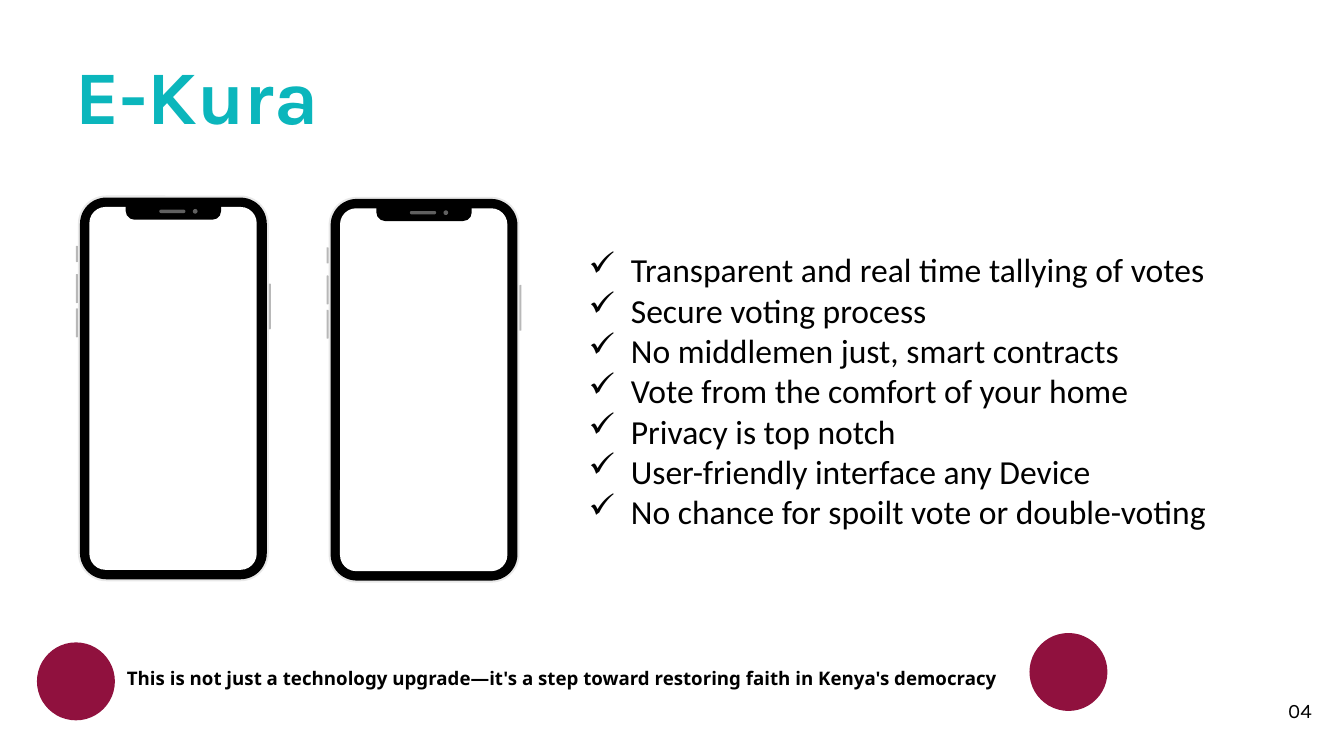
import lxml.etree
import pptx
import pptx.dml.color
import pptx.enum.shapes
import pptx.enum.text
import pptx.oxml.ns
import pptx.util

Inches = pptx.util.Inches
RGB = pptx.dml.color.RGBColor.from_string
SHAPE = pptx.enum.shapes.MSO_SHAPE
ALIGN = pptx.enum.text.PP_ALIGN
qn = pptx.oxml.ns.qn

THEME = {
    "teal": RGB("0BB6BC"), "maroon": RGB("90113E"), "ink": RGB("000000"),
    "paper": RGB("FFFFFF"), "rim": RGB("E9E9E9"), "button": RGB("B8B8B8"),
    "sensor": RGB("606060"),
    "title": {"name": "Karla", "size": pptx.util.Pt(81), "bold": True},
    "number": {"name": "Karla", "size": pptx.util.Pt(22)},
    "tagline": {"name": "Noto Sans", "size": pptx.util.Pt(20), "bold": True},
    "list": {"name": "Calibri", "size": pptx.util.Pt(36)},
}


def add_filled(shapes, kind, box, color, radii=()):
    sp = shapes.add_shape(kind, *[Inches(v) for v in box])
    sp.shadow.inherit = False
    sp.fill.solid()
    sp.fill.fore_color.rgb = THEME[color]
    sp.line.fill.background()
    for i, radius in enumerate(radii):
        sp.adjustments[i] = radius / min(box[2:])
    return sp


def write(sp, lines, style, color, inset=(0.1, 0.05), **paragraph_format):
    tf = sp.text_frame
    dx, dy = [Inches(v) for v in inset]
    frame_format = {
        "word_wrap": True, "auto_size": pptx.enum.text.MSO_AUTO_SIZE.NONE,
        "vertical_anchor": pptx.enum.text.MSO_ANCHOR.TOP,
        "margin_left": dx, "margin_right": dx,
        "margin_top": dy, "margin_bottom": dy,
    }
    for key, value in frame_format.items():
        setattr(tf, key, value)
    for i, line in enumerate(lines):
        p = tf.paragraphs[0] if i == 0 else tf.add_paragraph()
        for key, value in paragraph_format.items():
            setattr(p, key, value)
        r = p.add_run()
        r.text = line
        for key, value in THEME[style].items():
            setattr(r.font, key, value)
        r.font.color.rgb = THEME[color]
    return tf


prs = pptx.Presentation()
prs.slide_width, prs.slide_height = Inches(20), Inches(11.25)
s = prs.slides.add_slide(prs.slide_layouts[5])

title = s.shapes.title
title.left, title.top, title.width, title.height = [
    Inches(v) for v in (1.12, 0.73, 9.47, 1.36)]
write(title, ["E-Kura"], "title", "teal", inset=(0, 0),
      alignment=ALIGN.LEFT, line_spacing=pptx.util.Pt(97.2))

ROUND = SHAPE.ROUNDED_RECTANGLE
phone_parts = [
    (ROUND, (0.03, 0, 2.84, 5.74), "rim", [0.42]),
    (ROUND, (0.06, 0.03, 2.78, 5.68), "ink", [0.39]),
    (ROUND, (0.2, 0.17, 2.49, 5.4), "paper", [0.24]),
    (SHAPE.ROUND_2_SAME_RECTANGLE, (0.74, 0.1, 1.42, 0.26), "ink", [0, 0.13]),
    (ROUND, (1.24, 0.21, 0.39, 0.05), "sensor", [0.03]),
    (SHAPE.OVAL, (1.74, 0.2, 0.07, 0.07), "sensor", []),
    (ROUND, (0, 0.75, 0.03, 0.24), "button", [0.01]),
    (ROUND, (0, 1.17, 0.03, 0.43), "button", [0.01]),
    (ROUND, (0, 1.68, 0.03, 0.43), "button", [0.01]),
    (ROUND, (2.87, 1.31, 0.03, 0.68), "button", [0.01]),
]
for left, top in [(1.13, 2.91), (4.86, 2.93)]:
    phone = s.shapes.add_group_shape()
    for kind, (x, y, w, h), color, radii in phone_parts:
        add_filled(phone.shapes, kind, (left + x, top + y, w, h), color, radii)

number = s.shapes.add_textbox(*[Inches(v) for v in (18.65, 10.37, 0.87, 0.38)])
write(number, ["04"], "number", "ink", inset=(0, 0),
      alignment=ALIGN.RIGHT, line_spacing=pptx.util.Pt(27.5))

tagline = s.shapes.add_textbox(*[Inches(v) for v in (1.79, 9.88, 13.52, 0.74)])
write(tagline, ["This is not just a technology upgrade—it's a step toward "
                "restoring faith in Kenya's democracy"], "tagline", "ink")

for left, top in [(0.55, 9.56), (15.32, 9.42)]:
    add_filled(s.shapes, SHAPE.OVAL, (left, top, 1.16, 1.16), "maroon")

benefits = [
    "Transparent and real time tallying of votes",
    "Secure voting process",
    "No middlemen just, smart contracts",
    "Vote from the comfort of your home",
    "Privacy is top notch",
    "User-friendly interface any Device",
    "No chance for spoilt vote or double-voting",
]
checklist = s.shapes.add_textbox(*[Inches(v) for v in (8.66, 3.66, 9.47, 4.34)])
tf = write(checklist, benefits, "list", "ink")
for p in tf.paragraphs:
    pPr = p._p.get_or_add_pPr()
    pPr.set("marL", str(Inches(0.63)))
    pPr.set("indent", str(-Inches(0.63)))
    lxml.etree.SubElement(pPr, qn("a:buChar")).set("char", "✓")

prs.save("out.pptx")
